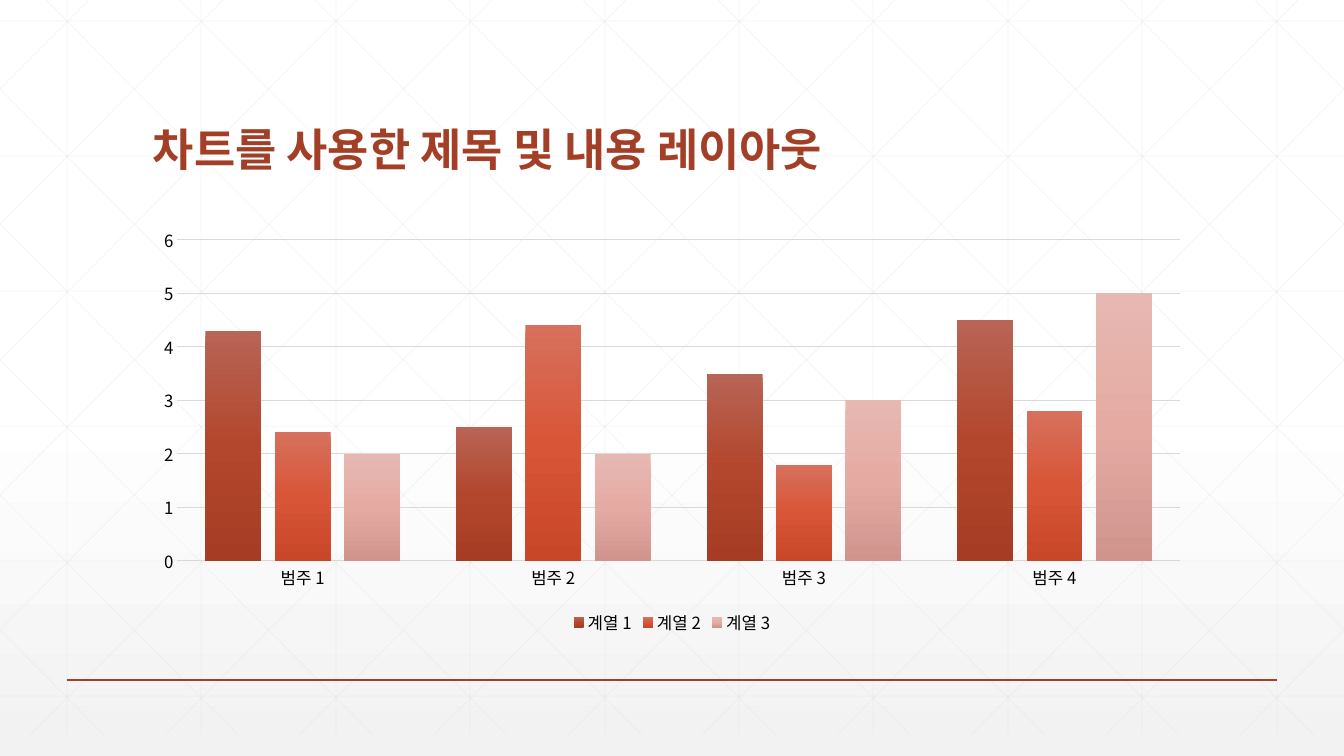
from lxml import etree
from pptx import Presentation
from pptx.chart.data import CategoryChartData
from pptx.dml.color import RGBColor
from pptx.enum.chart import XL_CHART_TYPE, XL_LEGEND_POSITION, XL_TICK_MARK
from pptx.enum.shapes import MSO_CONNECTOR
from pptx.enum.text import MSO_ANCHOR
from pptx.oxml.ns import qn
from pptx.util import Pt

COLUMNS = XL_CHART_TYPE.COLUMN_CLUSTERED
BOTTOM = XL_LEGEND_POSITION.BOTTOM
NO_TICK = XL_TICK_MARK.NONE
STRAIGHT = MSO_CONNECTOR.STRAIGHT
ANCHOR_BOTTOM = MSO_ANCHOR.BOTTOM

TITLE = "차트를 사용한 제목 및 내용 레이아웃"
CATEGORIES = ["범주 1", "범주 2", "범주 3", "범주 4"]
SERIES = [
    ("계열 1", (4.3, 2.5, 3.5, 4.5), ("B86456", "B3472D", "A53C23")),
    ("계열 2", (2.4, 4.4, 1.8, 2.8), ("D7705D", "D85537", "C84728")),
    ("계열 3", (2, 2, 3, 5), ("E7B8B2", "E5ABA3", "D0948D")),
]
BACKGROUND = ("FFFFFF", "FFFFFF", "F2F2F2")
FONT, ACCENT, GRID, BLACK = "Noto Sans CJK KR", "A43F27", "D9D9D9", "000000"
WIDTH, HEIGHT = 1344, 756
GRID_BOTTOM = 735
STEP_X, STEP_Y = WIDTH / 10, 135
DIAGONAL_X, DIAGONAL_Y, DIAGONAL_RUN, DIAGONAL_DROP = 25, -21, 751, 756


def px(*values):
    """Turn pixel lengths into EMU."""
    return [round(round(v) * 914400 / 100.8) for v in values]


def rgb(value):
    """Turn a hex string into a colour."""
    return RGBColor.from_string(value)


def gradient(fill, owner, colors, middle):
    """Fill from top to bottom with three colours."""
    fill.gradient()
    fill.gradient_angle = 270
    stops = next(owner.iter(qn("a:gsLst")))
    for stop in list(stops):
        stops.remove(stop)
    for position, color in zip((0, middle, 100), colors):
        stop = etree.SubElement(stops, qn("a:gs"), pos=str(position * 1000))
        etree.SubElement(stop, qn("a:srgbClr"), val=color)


def line(s, x1, y1, x2, y2, color, width, alpha=None):
    """Draw a line without shadow."""
    c = s.shapes.add_connector(STRAIGHT, *px(x1, y1, x2, y2))
    c.line.color.rgb = rgb(color)
    c.line.width = Pt(width)
    spPr = c._element.spPr
    if alpha:
        clr = next(spPr.iter(qn("a:srgbClr")))
        etree.SubElement(clr, qn("a:alpha"), val=str(alpha * 1000))
    etree.SubElement(spPr, qn("a:effectLst"))


def set_font(font, size, color):
    """Set the common font, a size and a colour."""
    font.name, font.size = FONT, Pt(size)
    font.color.rgb = rgb(color)
    latin = font._element.find(qn("a:latin"))
    ea = etree.Element(qn("a:ea"), typeface=FONT)
    latin.addnext(ea)


def lattice(s):
    """Draw the faint background lattice, cut at the slide edges."""
    lines = [(67 + STEP_X * i, 0, 67 + STEP_X * i, GRID_BOTTOM) for i in range(10)]
    lines += [(0, 21 + STEP_Y * i, WIDTH, 21 + STEP_Y * i) for i in range(6)]
    slope = DIAGONAL_DROP / DIAGONAL_RUN
    for i in range(-5, 10):
        start = DIAGONAL_X + STEP_X * i
        x1 = max(0, start - DIAGONAL_Y / slope)
        x2 = min(WIDTH, start + (GRID_BOTTOM - DIAGONAL_Y) / slope)
        y1, y2 = (DIAGONAL_Y + (x - start) * slope for x in (x1, x2))
        lines += [(x1, y1, x2, y2), (WIDTH - x1, y1, WIDTH - x2, y2)]
    for ends in lines:
        line(s, *ends, GRID, 0.5, 25)


def title(s):
    """Add the heading."""
    tf = s.shapes.add_textbox(*px(143, 55, 1058, 126)).text_frame
    tf.word_wrap = True
    tf.vertical_anchor = ANCHOR_BOTTOM
    p = tf.paragraphs[0]
    p.line_spacing = 0.9
    r = p.add_run()
    r.text = TITLE
    r.font.bold = True
    set_font(r.font, 32, ACCENT)


def column_chart(s):
    """Add the clustered column chart."""
    data = CategoryChartData()
    data.categories = CATEGORIES
    for name, values, _ in SERIES:
        data.add_series(name, values)
    chart = s.shapes.add_chart(COLUMNS, *px(143, 219, 1058, 420), data).chart
    chart.has_title = False
    set_font(chart.font, 12, BLACK)
    chart.has_legend = True
    chart.legend.position = BOTTOM
    chart.legend.include_in_layout = False
    set_font(chart.legend.font, 12, BLACK)
    cat, val = chart.category_axis, chart.value_axis
    for axis in (cat, val):
        axis.major_tick_mark = axis.minor_tick_mark = NO_TICK
        set_font(axis.tick_labels.font, 12, BLACK)
    val.minimum_scale, val.maximum_scale, val.major_unit = 0, 6, 1
    val.format.line.fill.background()
    for rule in (cat.format.line, val.major_gridlines.format.line):
        rule.color.rgb = rgb(GRID)
        rule.width = Pt(0.75)
    plot = chart.plots[0]
    plot.gap_width, plot.overlap = 100, -24
    plot.vary_by_categories = False
    for series, (_, _, colors) in zip(plot.series, SERIES):
        gradient(series.format.fill, series._element, colors, 50)


prs = Presentation()
prs.slide_width, prs.slide_height = px(WIDTH, HEIGHT)
s = prs.slides.add_slide(prs.slide_layouts[6])
gradient(s.background.fill, s._element, BACKGROUND, 53)
lattice(s)
line(s, 67, 680, 1277, 680, ACCENT, 1)
title(s)
column_chart(s)
prs.save("out.pptx")
